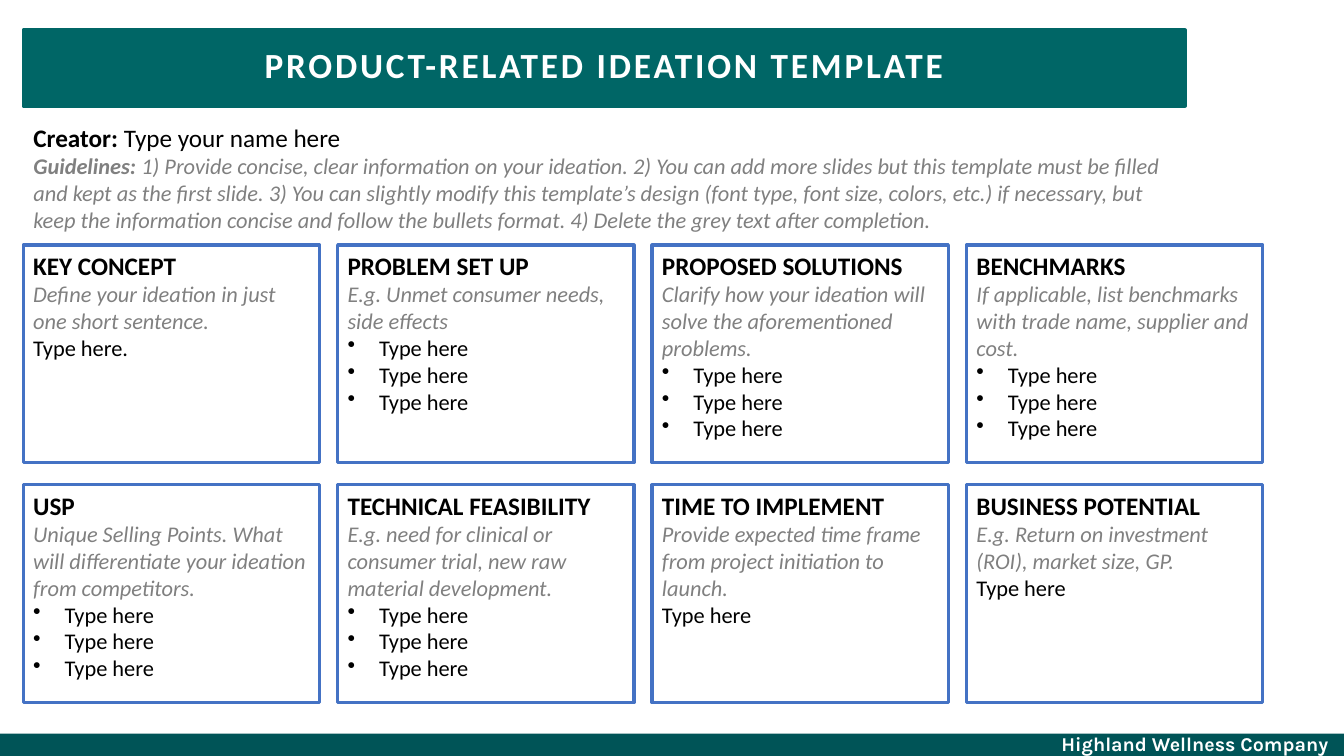
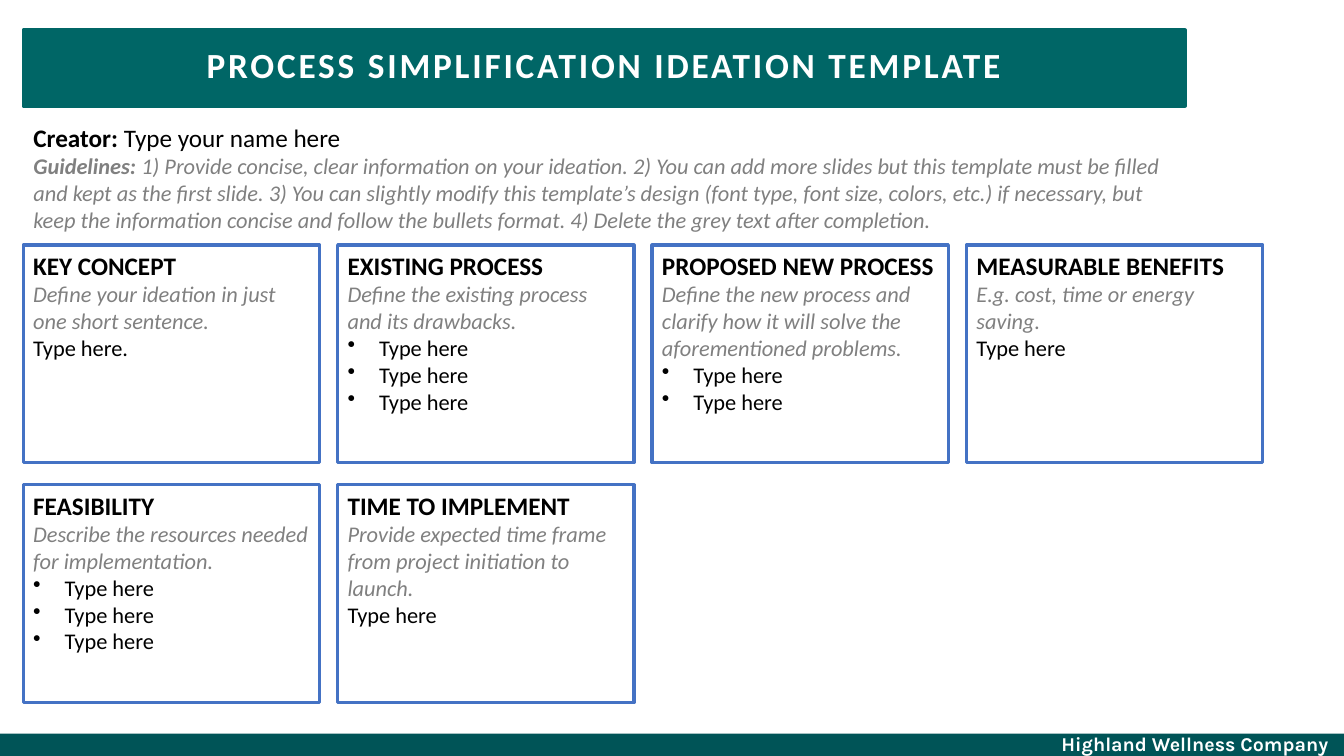
import lxml.etree
import pptx
import pptx.dml.color
import pptx.enum.shapes
import pptx.enum.text
import pptx.oxml.ns
import pptx.util

Pt = pptx.util.Pt
RGBColor = pptx.dml.color.RGBColor
ANCHOR = pptx.enum.text.MSO_ANCHOR
ALIGN = pptx.enum.text.PP_ALIGN
RECTANGLE = pptx.enum.shapes.MSO_SHAPE.RECTANGLE

TEAL = RGBColor(0x00, 0x66, 0x66)
DARK_TEAL = RGBColor(0x00, 0x54, 0x57)
BLUE = RGBColor(0x44, 0x72, 0xC4)
GREY = RGBColor(0x80, 0x80, 0x80)
BLACK = RGBColor(0, 0, 0)
WHITE = RGBColor(0xFF, 0xFF, 0xFF)

SLIDE_WIDTH, SLIDE_HEIGHT = 960, 540
MARGIN = 16.6
BANNER_WIDTH = 830
CARD_WIDTH, CARD_HEIGHT = 211.7, 155.5
COLUMN_STEP, ROW_STEP = 224.6, 171.4
CARDS_TOP = 175
COLUMNS = 4
BULLET_INDENT = 22.5
FOOTER_HEIGHT = 16

COMPANY = "Highland Wellness Company"
GUIDELINES = (
    "1) Provide concise, clear information on your ideation. "
    "2) You can add more slides but this template must be filled and kept as the first slide. "
    "3) You can slightly modify this template’s design (font type, font size, colors, etc.) "
    "if necessary, but keep the information concise and follow the bullets format. "
    "4) Delete the grey text after completion."
)

PLAIN = ["Type here"]
KEY_CONCEPT = ("KEY CONCEPT", "Define your ideation in just one short sentence.", ["Type here."])
TIME_TO_IMPLEMENT = (
    "TIME TO IMPLEMENT", "Provide expected time frame from project initiation to launch.", PLAIN)

TEMPLATES = [
    ("PRODUCT-RELATED IDEATION TEMPLATE", [
        KEY_CONCEPT,
        ("PROBLEM SET UP", "E.g. Unmet consumer needs, side effects", PLAIN * 3),
        ("PROPOSED SOLUTIONS",
         "Clarify how your ideation will solve the aforementioned problems.", PLAIN * 3),
        ("BENCHMARKS",
         "If applicable, list benchmarks with trade name, supplier and cost.", PLAIN * 3),
        ("USP",
         "Unique Selling Points. What will differentiate your ideation from competitors.",
         PLAIN * 3),
        ("TECHNICAL FEASIBILITY",
         "E.g. need for clinical or consumer trial, new raw material development.", PLAIN * 3),
        TIME_TO_IMPLEMENT,
        ("BUSINESS POTENTIAL", "E.g. Return on investment (ROI), market size, GP.", PLAIN),
    ]),
    ("PROCESS SIMPLIFICATION IDEATION TEMPLATE", [
        KEY_CONCEPT,
        ("EXISTING PROCESS", "Define the existing process and its drawbacks.", PLAIN * 3),
        ("PROPOSED NEW PROCESS",
         "Define the new process and clarify how it will solve the aforementioned problems.",
         PLAIN * 2),
        ("MEASURABLE BENEFITS", "E.g. cost, time or energy saving.", PLAIN),
        ("FEASIBILITY", "Describe the resources needed for implementation.", PLAIN * 3),
        TIME_TO_IMPLEMENT,
    ]),
]


def place(shape, left, top, width, height):
    shape.left, shape.top = Pt(left), Pt(top)
    shape.width, shape.height = Pt(width), Pt(height)


def style_font(font, size, color, bold=None, italic=False, name="Calibri"):
    font.name, font.size = name, Pt(size)
    font.bold, font.italic = bold, italic
    font.color.rgb = color


def set_bullet(paragraph, character=None):
    properties = paragraph._p.get_or_add_pPr()
    indent = Pt(BULLET_INDENT) if character else 0
    properties.set("marL", str(indent))
    properties.set("indent", str(-indent))
    tag = "a:buChar" if character else "a:buNone"
    bullet = lxml.etree.SubElement(properties, pptx.oxml.ns.qn(tag))
    if character:
        bullet.set("char", character)


def next_paragraph(frame):
    first = frame.paragraphs[0]
    return frame.add_paragraph() if first.runs else first


def add_rectangle(slide, left, top, width, height):
    shape = slide.shapes.add_shape(RECTANGLE, Pt(left), Pt(top), Pt(width), Pt(height))
    shape.shadow.inherit = False
    return shape


def add_footer(slide):
    band = add_rectangle(slide, 0, SLIDE_HEIGHT - FOOTER_HEIGHT, SLIDE_WIDTH, FOOTER_HEIGHT)
    band.fill.solid()
    band.fill.fore_color.rgb = DARK_TEAL
    band.line.fill.background()
    label = slide.shapes.add_textbox(Pt(751), Pt(519), Pt(209.5), Pt(24.5))
    label.text_frame.word_wrap = True
    paragraph = label.text_frame.paragraphs[0]
    paragraph.text = COMPANY
    style_font(paragraph.font, 14, WHITE, bold=True, name="Karla")


def fill_title(slide, text):
    title = slide.shapes.title
    place(title, MARGIN, 21.6, BANNER_WIDTH, 54)
    title.fill.solid()
    title.fill.fore_color.rgb = TEAL
    title.line.color.rgb = TEAL
    title.line.width = Pt(2.5)
    frame = title.text_frame
    frame.auto_size = pptx.enum.text.MSO_AUTO_SIZE.NONE
    frame.vertical_anchor = ANCHOR.MIDDLE
    frame.margin_left = frame.margin_right = Pt(14.4)
    frame.margin_top = frame.margin_bottom = Pt(14.4)
    paragraph = frame.paragraphs[0]
    paragraph.text = text
    paragraph.alignment = ALIGN.CENTER
    paragraph.line_spacing = 0.8
    style_font(paragraph.font, 25.2, WHITE, bold=True)
    paragraph.runs[0]._r.get_or_add_rPr().set("spc", "200")


def add_labelled_paragraph(frame, label, text, size, color, italic):
    paragraph = next_paragraph(frame)
    paragraph.space_before = Pt(0)
    set_bullet(paragraph)
    style_font(paragraph.font, size, color, italic=italic)
    for words, bold in ((label, True), (text, False)):
        run = paragraph.add_run()
        run.text = words
        run.font.bold = bold


def fill_introduction(slide):
    body = slide.placeholders[1]
    place(body, MARGIN, 83.5, BANNER_WIDTH, 87)
    frame = body.text_frame
    frame.auto_size = pptx.enum.text.MSO_AUTO_SIZE.NONE
    add_labelled_paragraph(frame, "Creator: ", "Type your name here", 18, BLACK, False)
    add_labelled_paragraph(frame, "Guidelines: ", GUIDELINES, 16, GREY, True)


def add_card_paragraph(frame, text, size, color, bold=False, italic=False, bullet=None):
    paragraph = next_paragraph(frame)
    paragraph.text = text
    paragraph.alignment = ALIGN.LEFT
    if bullet:
        set_bullet(paragraph, bullet)
    style_font(paragraph.font, size, color, bold, italic)


def add_card(slide, position, heading, hint, entries):
    row, column = divmod(position, COLUMNS)
    card = add_rectangle(slide, MARGIN + column * COLUMN_STEP, CARDS_TOP + row * ROW_STEP,
                         CARD_WIDTH, CARD_HEIGHT)
    card.fill.background()
    card.line.color.rgb = BLUE
    card.line.width = Pt(2.25)
    frame = card.text_frame
    frame.word_wrap = True
    frame.vertical_anchor = ANCHOR.TOP
    add_card_paragraph(frame, heading, 18, BLACK, bold=True)
    add_card_paragraph(frame, hint, 16, GREY, italic=True)
    bullet = "•" if len(entries) > 1 else None
    for entry in entries:
        add_card_paragraph(frame, entry, 16, BLACK, bullet=bullet)


def main():
    presentation = pptx.Presentation()
    presentation.slide_width = Pt(SLIDE_WIDTH)
    presentation.slide_height = Pt(SLIDE_HEIGHT)
    for title, cards in TEMPLATES:
        slide = presentation.slides.add_slide(presentation.slide_layouts[1])
        fill_title(slide, title)
        fill_introduction(slide)
        for position, card in enumerate(cards):
            add_card(slide, position, *card)
        add_footer(slide)
    presentation.save("out.pptx")


if __name__ == "__main__":
    main()
